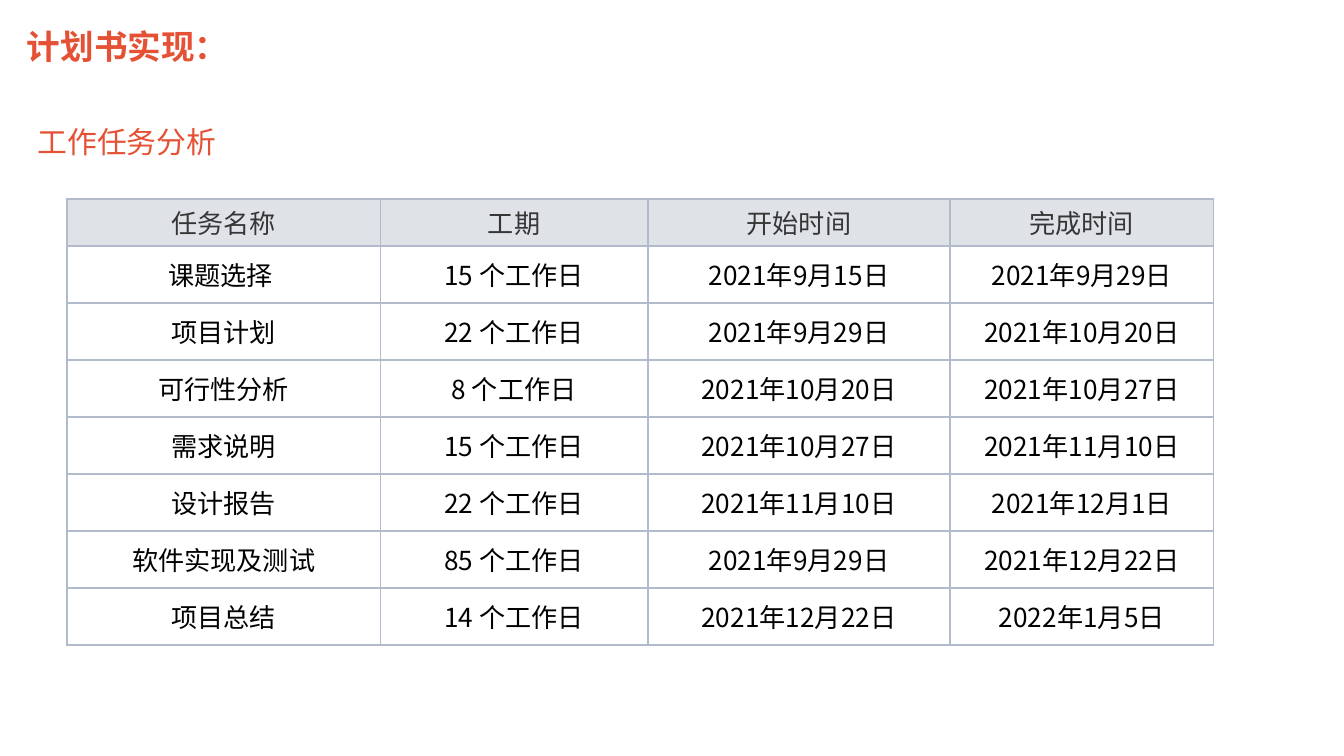
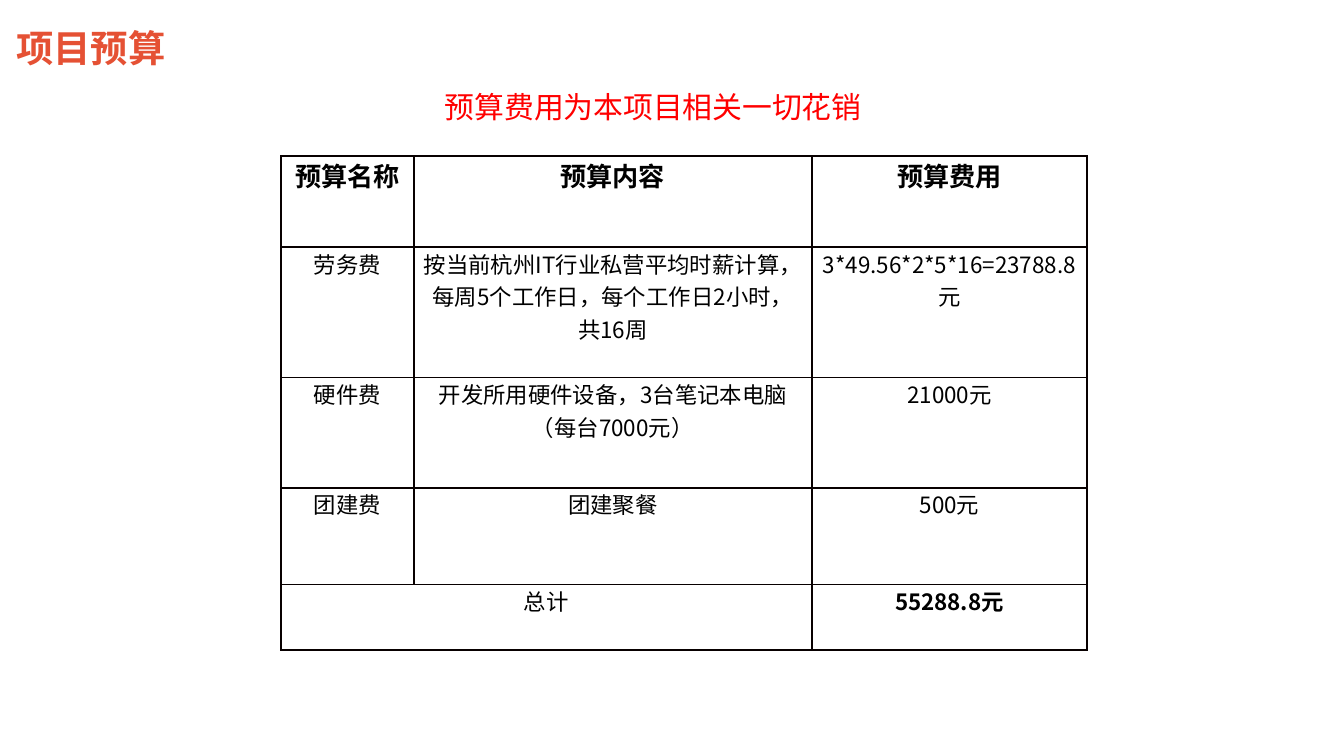
from lxml import etree
from pptx import Presentation
from pptx.dml.color import RGBColor
from pptx.enum.text import MSO_ANCHOR, PP_ALIGN
from pptx.oxml.ns import qn
from pptx.util import Inches, Pt

TOP, MIDDLE = MSO_ANCHOR.TOP, MSO_ANCHOR.MIDDLE
LEFT, CENTER = PP_ALIGN.LEFT, PP_ALIGN.CENTER
SANS, ARIAL = "Noto Sans CJK SC", "Arial"
COLORS = {
    "accent": "E55134",
    "red": "FF0000",
    "black": "000000",
    "white": "FFFFFF",
    "header_text": "363636",
    "header_fill": "DFE3E8",
    "soft_line": "B1BBCC",
    "dark_line": "080000",
}

TASKS = [
    ("任务名称", "工期", "开始时间", "完成时间"),
    ("课题选择 ", "15 个工作日", "2021年9月15日", "2021年9月29日"),
    ("项目计划", "22 个工作日", "2021年9月29日", "2021年10月20日"),
    ("可行性分析", "8 个工作日", "2021年10月20日", "2021年10月27日"),
    ("需求说明", "15 个工作日", "2021年10月27日", "2021年11月10日"),
    ("设计报告", "22 个工作日", "2021年11月10日", "2021年12月1日"),
    ("软件实现及测试", "85 个工作日", "2021年9月29日", "2021年12月22日"),
    ("项目总结", "14 个工作日", "2021年12月22日", "2022年1月5日"),
]
BUDGET = [
    ("预算名称", "预算内容", "预算费用"),
    ("劳务费", "按当前杭州IT行业私营平均时薪计算，每周5个工作日，每个工作日2小时，共16周",
     "3*49.56*2*5*16=23788.8元"),
    ("硬件费", "开发所用硬件设备，3台笔记本电脑（每台7000元）", "21000元"),
    ("团建费", "团建聚餐", "500元"),
    ("总计", "", "55288.8元"),
]


class Deck:
    def __init__(self):
        self.deck = Presentation()
        self.deck.slide_width = Inches(10)
        self.deck.slide_height = Inches(10 * 9 / 16)
        self.page = None

    def add_page(self):
        self.page = self.deck.slides.add_slide(self.deck.slide_layouts[6])

    def style(self, paragraph, size, color, bold=False, font=SANS, align=LEFT):
        paragraph.alignment = align
        paragraph.font.name = font
        paragraph.font.size = Pt(size)
        paragraph.font.bold = bold
        paragraph.font.color.rgb = RGBColor.from_string(COLORS[color])
        defaults = paragraph._p.pPr.find(qn("a:defRPr"))
        etree.SubElement(defaults, qn("a:ea"), typeface=SANS)

    def inset(self, target, sides, ends):
        target.margin_left = target.margin_right = Inches(sides)
        target.margin_top = target.margin_bottom = Inches(ends)

    def text(self, words, place, size, color, bold=False, anchor=TOP,
             sides=0, ends=0, wrap=True):
        box = self.page.shapes.add_textbox(*map(Inches, place))
        frame = box.text_frame
        frame.word_wrap = wrap
        frame.vertical_anchor = anchor
        self.inset(frame, sides, ends)
        frame.text = words
        self.style(frame.paragraphs[0], size, color, bold)
        return frame

    def title(self, words, place, size):
        self.text(words, place, size, "accent", True, MIDDLE, ends=0.05)

    def border(self, cell, color):
        properties = cell._tc.get_or_add_tcPr()
        for side in ("lnL", "lnR", "lnT", "lnB"):
            line = etree.SubElement(properties, qn(f"a:{side}"), w=str(Pt(1)))
            fill = etree.SubElement(line, qn("a:solidFill"))
            etree.SubElement(fill, qn("a:srgbClr"), val=COLORS[color])

    def table(self, rows, left, top, widths, heights, line, look):
        """Draw rows; look(row, column) gives a cell's fill, anchor, insets and text style."""
        table = self.page.shapes.add_table(
            len(rows), len(widths), Inches(left), Inches(top),
            Inches(sum(widths)), Inches(sum(heights))).table
        table.first_row = table.horz_banding = False
        for column, width in zip(table.columns, widths):
            column.width = Inches(width)
        for row, height in zip(table.rows, heights):
            row.height = Inches(height)
        for r, values in enumerate(rows):
            for c, value in enumerate(values):
                cell = table.cell(r, c)
                fill, anchor, insets, text_style = look(r, c)
                cell.text = value
                cell.vertical_anchor = anchor
                self.inset(cell, *insets)
                self.style(cell.text_frame.paragraphs[0], align=CENTER, **text_style)
                self.border(cell, line)
                if fill:
                    cell.fill.solid()
                    cell.fill.fore_color.rgb = RGBColor.from_string(COLORS[fill])
                else:
                    cell.fill.background()
        return table


def task_look(row, column):
    if row == 0:
        fill, style = "header_fill", dict(size=14, color="header_text", font=ARIAL)
    else:
        fill, style = "white", dict(size=14, color="black")
    return fill, MIDDLE, (0.01, 0.01), style


def budget_look(row, column):
    is_total = row == len(BUDGET) - 1 and column == 2
    style = dict(size=12 if row else 14, color="black", bold=row == 0 or is_total)
    return None, TOP, (0.07, 0), style


def add_task_page(deck):
    deck.add_page()
    deck.title("计划书实现：", (0.2, 0.13, 2.33, 0.42), 18)
    deck.text("工作任务分析", (0.28, 0.92, 1.33, 0.27), 16, "accent", wrap=False)
    heights = [0.35] + [2.97 / 7] * 7
    deck.table(TASKS, 0.5, 1.48, (2.33, 1.99, 2.25, 1.96), heights,
               "soft_line", task_look)


def add_budget_page(deck):
    deck.add_page()
    deck.title("项目预算", (0.12, 0.14, 2.88, 0.42), 20)
    note = deck.text("预算费用为本项目相关一切花销", (1.69, 0.61, 5.56, 0.37), 16,
                     "red", sides=0.1, ends=0.05)
    note.margin_left = Inches(1.62)
    table = deck.table(BUDGET, 2.09, 1.16, (0.99, 2.96, 2.05),
                       (0.68, 0.97, 0.82, 0.72, 0.49), "dark_line", budget_look)
    last = len(BUDGET) - 1
    table.cell(last, 0).merge(table.cell(last, 1))


def main():
    deck = Deck()
    add_task_page(deck)
    add_budget_page(deck)
    deck.deck.save("out.pptx")


if __name__ == "__main__":
    main()
